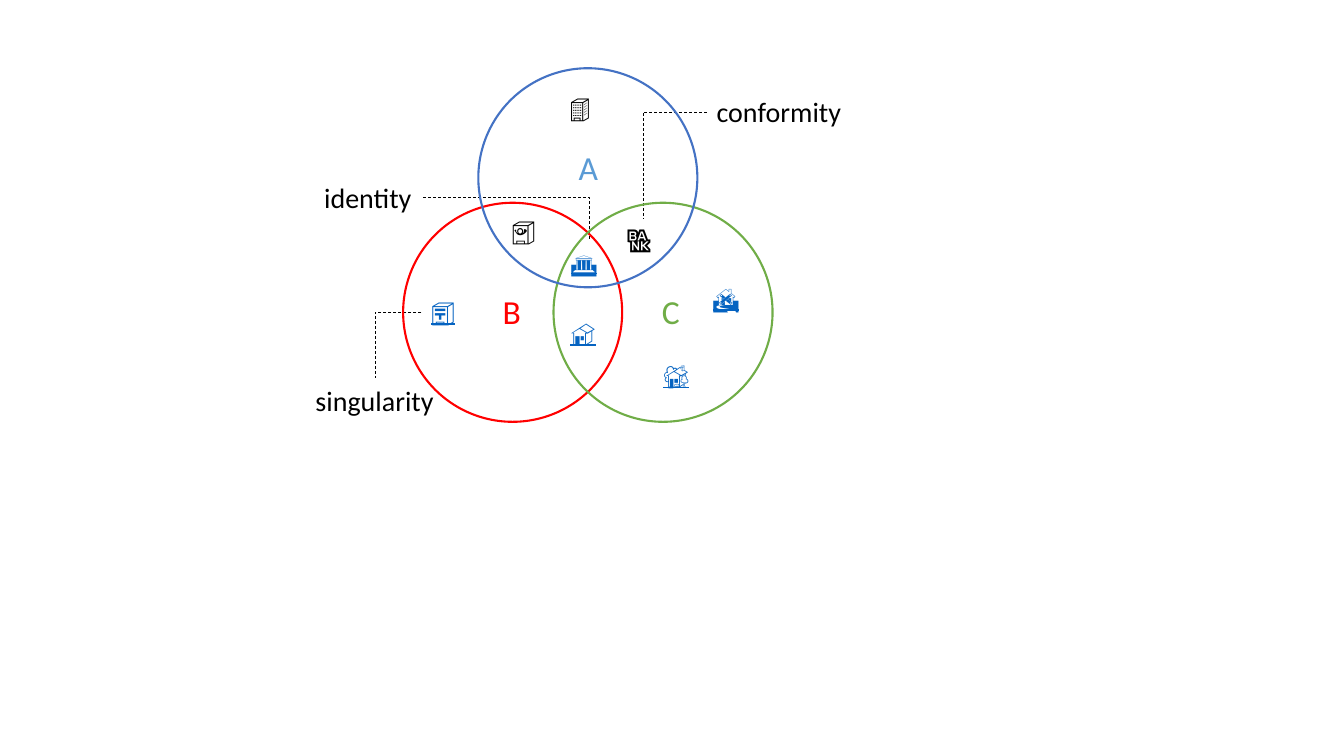
from dataclasses import dataclass

from pptx import Presentation
from pptx import util as u
from pptx.dml import color
from pptx.enum import dml, shapes, text
from pptx.oxml import ns, xmlchemy


@dataclass(frozen=True)
class Theme:
    black: str = "000000"
    red: str = "FF0000"
    green: str = "70AD47"
    blue: str = "4472C4"
    light_blue: str = "5B9BD5"
    link: str = "0563C1"
    text_font: str = "Calibri"
    icon_font: str = "Roboto"
    label_size: float = 20
    letter_size: float = 24
    icon_size: float = 18
    circle_line: float = 1.5
    leader_line: float = 0.5


@dataclass(frozen=True)
class TextStyle:
    font: str
    size: float
    height: float
    wrap: bool


@dataclass(frozen=True)
class Caption:
    words: str
    left: float
    top: float
    width: float
    style: TextStyle
    color: str
    underline: bool = False


@dataclass(frozen=True)
class Circle:
    left: float
    top: float
    color: str


@dataclass(frozen=True)
class Leader:
    start_x: float
    start_y: float
    end_x: float
    end_y: float


THEME = Theme()
LABEL = TextStyle(THEME.text_font, THEME.label_size, 1.12, False)
LETTER = TextStyle(THEME.text_font, THEME.letter_size, 1.27, False)
ICON = TextStyle(THEME.icon_font, THEME.icon_size, 1.02, True)

DIAMETER = 5.52
SPACING = 3.79
RISE = 3.39
LEFT, TOP = 10.16, 5.11

CIRCLES = [
    Circle(LEFT, TOP, THEME.red),
    Circle(LEFT + SPACING, TOP, THEME.green),
    Circle(LEFT + SPACING / 2, TOP - RISE, THEME.blue),
]
LEADERS = [
    Leader(17.81, 2.82, 16.21, 5.51),
    Leader(10.62, 7.87, 9.45, 9.53),
    Leader(10.67, 4.98, 14.86, 6.07),
]
CAPTIONS = [
    Caption("conformity", 17.81, 2.26, 3.76, LABEL, THEME.black),
    Caption("singularity", 7.7, 9.53, 3.53, LABEL, THEME.black),
    Caption("identity", 7.92, 4.42, 2.74, LABEL, THEME.black),
    Caption("B", 12.42, 7.21, 1.02, LETTER, THEME.red),
    Caption("C", 16.43, 7.21, 0.97, LETTER, THEME.green),
    Caption("A", 14.33, 3.58, 1.02, LETTER, THEME.light_blue),
    Caption("🏢", 14.12, 2.21, 1.4, ICON, THEME.black),
    Caption("🏦", 15.54, 5.51, 1.32, ICON, THEME.black),
    Caption("🏤", 12.65, 5.31, 1.3, ICON, THEME.black),
    Caption("🏠", 14.12, 7.87, 1.47, ICON, THEME.link, True),
    Caption("🏡", 16.46, 8.94, 1.7, ICON, THEME.link, True),
    Caption("🏚\ufe0f", 17.73, 6.99, 1.3, ICON, THEME.link, True),
    Caption("🏣", 10.62, 7.34, 1.3, ICON, THEME.link, True),
    Caption("🏛\ufe0f", 14.15, 6.07, 1.42, ICON, THEME.link, True),
]


def apply_format(target: object, values: dict[str, object]) -> None:
    for name, value in values.items():
        setattr(target, name, value)


def draw_circle(slide, circle: Circle) -> None:
    shape = slide.shapes.add_shape(
        shapes.MSO_SHAPE.OVAL, u.Cm(circle.left), u.Cm(circle.top),
        u.Cm(DIAMETER), u.Cm(DIAMETER))
    shape.shadow.inherit = False
    shape.fill.background()
    shape.line.color.rgb = color.RGBColor.from_string(circle.color)
    shape.line.width = u.Pt(THEME.circle_line)


def draw_leader(slide, leader: Leader) -> None:
    connector = slide.shapes.add_connector(
        shapes.MSO_CONNECTOR.ELBOW, u.Cm(leader.start_x), u.Cm(leader.start_y),
        u.Cm(leader.end_x), u.Cm(leader.end_y))
    connector.line.color.rgb = color.RGBColor.from_string(THEME.black)
    apply_format(connector.line, {
        "width": u.Pt(THEME.leader_line),
        "dash_style": dml.MSO_LINE.DASH,
    })
    properties = connector._element.spPr
    properties.find(ns.qn("a:prstGeom")).set("prst", "bentConnector2")
    properties.append(xmlchemy.OxmlElement("a:effectLst"))


def draw_caption(slide, caption: Caption) -> None:
    style = caption.style
    shape = slide.shapes.add_textbox(
        u.Cm(caption.left), u.Cm(caption.top),
        u.Cm(caption.width), u.Cm(style.height))
    apply_format(shape.text_frame, {
        "word_wrap": style.wrap,
        "auto_size": text.MSO_AUTO_SIZE.SHAPE_TO_FIT_TEXT,
    })
    run = shape.text_frame.paragraphs[0].add_run()
    run.text = caption.words
    apply_format(run.font, {
        "name": style.font,
        "size": u.Pt(style.size),
        "underline": caption.underline,
    })
    run.font.color.rgb = color.RGBColor.from_string(caption.color)


def main() -> None:
    presentation = Presentation()
    apply_format(presentation, {
        "slide_width": u.Cm(33.87),
        "slide_height": u.Cm(19.05),
    })
    slide = presentation.slides.add_slide(presentation.slide_layouts[6])
    for leader in LEADERS:
        draw_leader(slide, leader)
    for circle in CIRCLES:
        draw_circle(slide, circle)
    for caption in CAPTIONS:
        draw_caption(slide, caption)
    presentation.save("out.pptx")


main()
